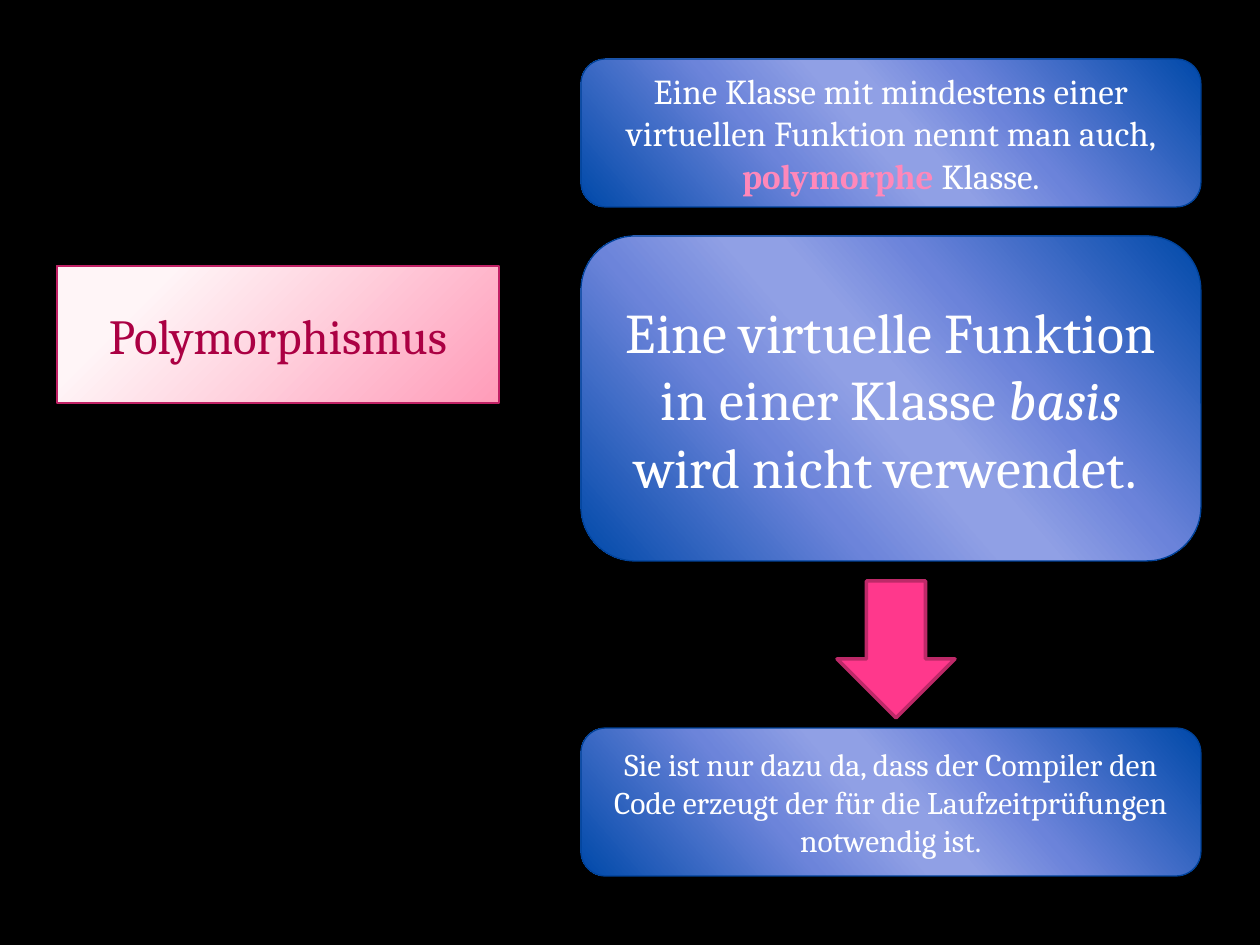
"""Build a slide on polymorphism with a title, three statement cards and an arrow."""
from lxml import etree
from pptx import Presentation
from pptx.dml.color import RGBColor
from pptx.enum.shapes import MSO_SHAPE as Shape
from pptx.enum.text import MSO_ANCHOR as Anchor, MSO_AUTO_SIZE as AutoSize, PP_ALIGN as Align
from pptx.oxml import parse_xml
from pptx.oxml.ns import nsdecls, qn
from pptx.util import Emu, Pt

SCALE = 914400 / 126
SLIDE_WIDTH, SLIDE_HEIGHT = 1260, 945
CARD_LEFT, CARD_WIDTH = 581, 620
TITLE_BOX = (57, 266, 442, 137)
ARROW_BOX = (837, 581, 118, 137)

THEME = {
    "font": "Cambria",
    "background": "000000",
    "text": "FFFFFF",
    "accent": "FF88BA",
    "title": {"size": 28, "color": "AB0043", "line": "C12165"},
    "card_line": "004299",
    "thin": 0.75,
    "arrow": {"fill": "FF388C", "line": "BD2968", "width": 2},
    "title_stops": [(20, "FFF5F7"), (100, "FF9CB9")],
    "card_stops": [(0, "0049A9"), (33, "6B83DA"), (47, "90A0E5"),
                   (53, "90A0E5"), (68, "6C84DA"), (100, "0049A9")],
}
TITLE_SHADE = ('<a:path path="circle"><a:fillToRect l="-15000" t="-15000" '
               'r="115000" b="115000"/></a:path>')
CARD_SHADE = f'<a:lin ang="{139 * 60000}" scaled="0"/>'

TITLE = [("Polymorphismus", {})]
CARDS = [
    {"top": 59, "height": 148, "size": 20, "runs": [
        ("Eine Klasse mit mindestens einer virtuellen Funktion nennt man auch, ", {}),
        ("polymorphe", {"bold": True, "color": THEME["accent"]}),
        (" Klasse.", {})]},
    {"top": 236, "height": 325, "size": 32, "runs": [
        ("Eine virtuelle Funktion in einer Klasse ", {}),
        ("basis", {"italic": True}),
        (" wird nicht verwendet. ", {})]},
    {"top": 728, "height": 148, "size": 18, "runs": [
        ("Sie ist nur dazu da, dass der Compiler den Code erzeugt der für die "
         "Laufzeitprüfungen notwendig ist.", {})]},
]


def px(length):
    """Turn pixels into EMU."""
    return Emu(round(length * SCALE))


def set_all(target, values):
    """Set each named attribute of an object."""
    for name, value in values.items():
        setattr(target, name, value)


def place(shape, box):
    """Move and size a shape by a pixel box."""
    set_all(shape, dict(zip(("left", "top", "width", "height"), map(px, box))))


def set_line(shape, color, width):
    """Give a shape a solid outline."""
    shape.line.color.rgb = RGBColor.from_string(color)
    shape.line.width = Pt(width)


def set_gradient(shape, stops, shade):
    """Fill a shape with a gradient of several stops."""
    shape.fill.gradient()
    gradient = shape.element.spPr.find(qn("a:gradFill"))
    marks = "".join(f'<a:gs pos="{position * 1000}"><a:srgbClr val="{color}"/></a:gs>'
                    for position, color in stops)
    filled = parse_xml(f'<a:gradFill {nsdecls("a")} rotWithShape="1">'
                       f'<a:gsLst>{marks}</a:gsLst>{shade}</a:gradFill>')
    gradient.getparent().replace(gradient, filled)


def write(shape, runs, size, color):
    """Write centred runs into a shape."""
    frame = shape.text_frame
    set_all(frame, {"word_wrap": True, "auto_size": AutoSize.NONE,
                    "vertical_anchor": Anchor.MIDDLE})
    paragraph = frame.paragraphs[0]
    paragraph.alignment = Align.CENTER
    for text, extra in runs:
        run = paragraph.add_run()
        run.text = text
        values = {"name": THEME["font"], "size": Pt(size), "bold": False,
                  "italic": False, "color": color, **extra}
        run.font.color.rgb = RGBColor.from_string(values.pop("color"))
        set_all(run.font, values)


def add_title(slide):
    """Turn the title placeholder into a rounded pink card."""
    title, style = slide.shapes.title, THEME["title"]
    place(title, TITLE_BOX)
    geometry = etree.Element(qn("a:prstGeom"), prst="roundRect")
    etree.SubElement(geometry, qn("a:avLst"))
    title.element.spPr.find(qn("a:xfrm")).addnext(geometry)
    set_gradient(title, THEME["title_stops"], TITLE_SHADE)
    set_line(title, style["line"], THEME["thin"])
    write(title, TITLE, style["size"], style["color"])


def add_shape(slide, kind, box):
    """Add a preset shape without a shadow."""
    shape = slide.shapes.add_shape(kind, *map(px, box))
    shape.shadow.inherit = False
    return shape


def add_card(slide, card):
    """Add a blue statement card."""
    box = (CARD_LEFT, card["top"], CARD_WIDTH, card["height"])
    shape = add_shape(slide, Shape.ROUNDED_RECTANGLE, box)
    set_gradient(shape, THEME["card_stops"], CARD_SHADE)
    set_line(shape, THEME["card_line"], THEME["thin"])
    write(shape, card["runs"], card["size"], THEME["text"])


def add_arrow(slide):
    """Add the arrow leading to the last card."""
    style = THEME["arrow"]
    arrow = add_shape(slide, Shape.DOWN_ARROW, ARROW_BOX)
    arrow.fill.solid()
    arrow.fill.fore_color.rgb = RGBColor.from_string(style["fill"])
    set_line(arrow, style["line"], style["width"])


def main():
    """Build and save the presentation."""
    presentation = Presentation()
    set_all(presentation, {"slide_width": px(SLIDE_WIDTH), "slide_height": px(SLIDE_HEIGHT)})
    slide = presentation.slides.add_slide(presentation.slide_layouts[5])
    slide.background.fill.solid()
    slide.background.fill.fore_color.rgb = RGBColor.from_string(THEME["background"])
    add_title(slide)
    for card in CARDS:
        add_card(slide, card)
    add_arrow(slide)
    presentation.save("out.pptx")


if __name__ == "__main__":
    main()
